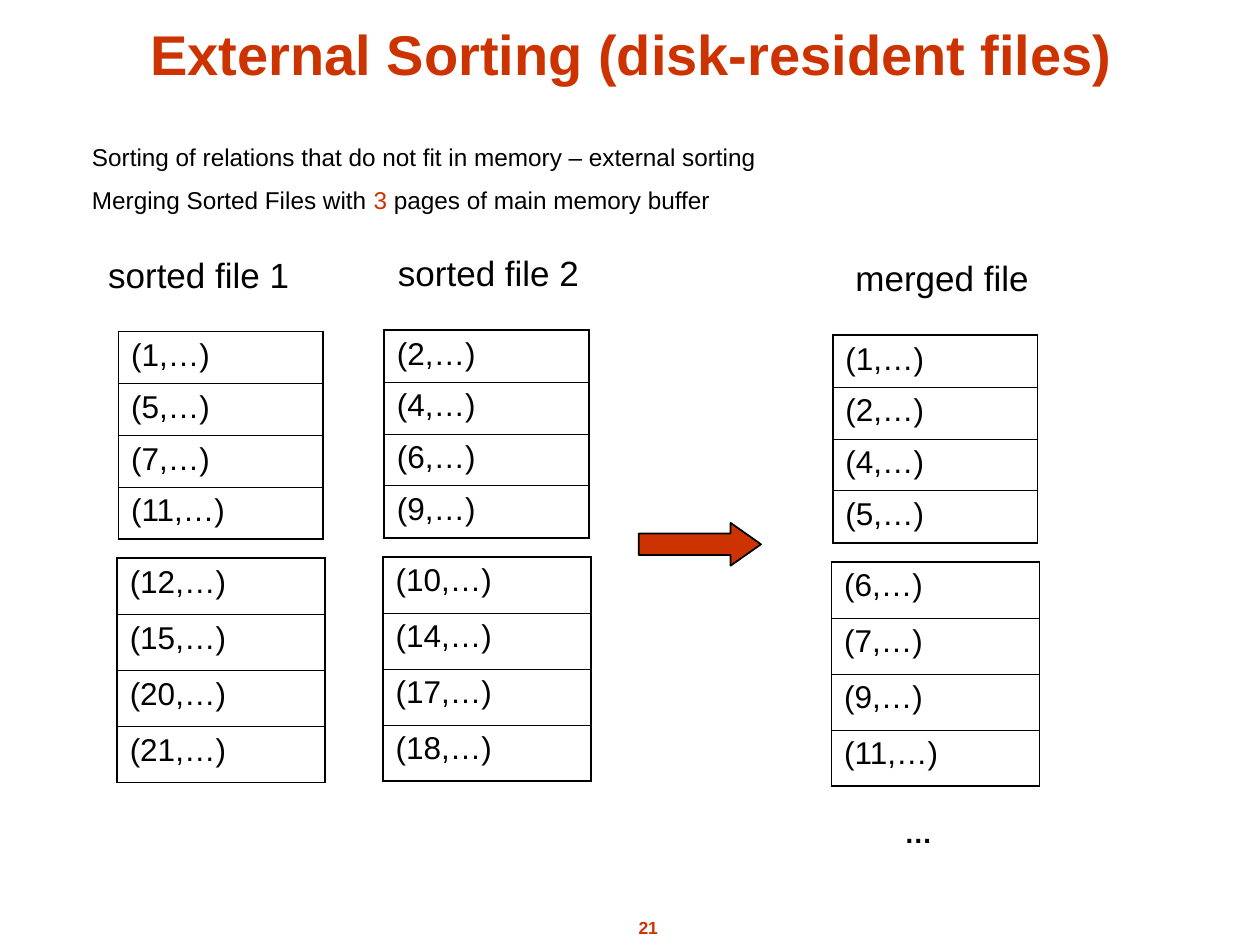
from dataclasses import dataclass

from lxml import etree
from pptx import Presentation
from pptx.dml.color import RGBColor
from pptx.enum.shapes import MSO_SHAPE
from pptx.enum.text import MSO_ANCHOR, MSO_AUTO_SIZE, PP_ALIGN
from pptx.oxml.ns import qn
from pptx.util import Inches, Pt

RIGHT_ARROW = MSO_SHAPE.RIGHT_ARROW
TOP, BOTTOM = MSO_ANCHOR.TOP, MSO_ANCHOR.BOTTOM
NO_AUTOFIT = MSO_AUTO_SIZE.NONE
LEFT, CENTER = PP_ALIGN.LEFT, PP_ALIGN.CENTER

SLIDE_WIDTH, SLIDE_HEIGHT = Inches(10), Inches(7.5)
GRID_UNIT = SLIDE_WIDTH / 100
FIRST_PAGE_WIDTH, FIRST_PAGE_ROW = 16.25, 4.12
SECOND_PAGE_WIDTH, SECOND_PAGE_ROW = 16.5, 4.45
LABEL_RISE, PAGE_STEP = 6.7, 18


@dataclass(frozen=True)
class Theme:
    font: str = "Arial"
    ink: str = "000000"
    accent: str = "CC3300"
    title: float = 32
    body: float = 13.9
    label: float = 20
    cell: float = 18
    ellipsis: float = 16
    page_number: float = 10
    body_gap: float = 7.9
    outer_border: float = 1.08
    inner_border: float = 0.45
    arrow_line: float = 1


THEME = Theme()

FILES = [
    ("sorted file 1", 7.6, 9.4, 26.3,
     ["(1,…)", "(5,…)", "(7,…)", "(11,…)"],
     ["(12,…)", "(15,…)", "(20,…)", "(21,…)"]),
    ("sorted file 2", 30.6, 30.5, 26.2,
     ["(2,…)", "(4,…)", "(6,…)", "(9,…)"],
     ["(10,…)", "(14,…)", "(17,…)", "(18,…)"]),
    ("merged file", 66.9, 66.1, 26.6,
     ["(1,…)", "(2,…)", "(4,…)", "(5,…)"],
     ["(6,…)", "(7,…)", "(9,…)", "(11,…)"]),
]


def grid(*units):
    return [round(unit * GRID_UNIT) for unit in units]


def color(value):
    return RGBColor.from_string(value)


def add_run(paragraph, text, size, ink=THEME.ink, bold=False):
    run = paragraph.add_run()
    run.text = text
    run.font.name = THEME.font
    run.font.size = Pt(size)
    run.font.bold = bold
    run.font.color.rgb = color(ink)


def fill_placeholder(shape, bounds, paragraphs, size, anchor, alignment, bold=False):
    shape.left, shape.top, shape.width, shape.height = grid(*bounds)
    frame = shape.text_frame
    frame.auto_size = NO_AUTOFIT
    frame.vertical_anchor = anchor
    for index, runs in enumerate(paragraphs):
        paragraph = frame.add_paragraph() if index else frame.paragraphs[0]
        properties = paragraph._p.get_or_add_pPr()
        properties.set("marL", "0")
        properties.set("indent", "0")
        etree.SubElement(properties, qn("a:buNone"))
        paragraph.alignment = alignment
        paragraph.space_before = Pt(THEME.body_gap if index else 0)
        for text, ink in runs:
            add_run(paragraph, text, size, ink, bold)


def add_text(slide, bounds, text, size, ink=THEME.ink, bold=False, alignment=LEFT, wrap=True):
    shape = slide.shapes.add_textbox(*grid(*bounds))
    shape.text_frame.word_wrap = wrap
    paragraph = shape.text_frame.paragraphs[0]
    paragraph.alignment = alignment
    add_run(paragraph, text, size, ink, bold)


def add_border(cell, side, width):
    properties = cell._tc.get_or_add_tcPr()
    line = etree.SubElement(properties, qn(f"a:ln{side}"), w=str(Pt(width)))
    fill = etree.SubElement(line, qn("a:solidFill"))
    etree.SubElement(fill, qn("a:srgbClr"), val=THEME.ink)


def add_page(slide, left, top, width, row_height, records):
    bounds = grid(left, top, width, row_height * len(records))
    table = slide.shapes.add_table(len(records), 1, *bounds).table
    table.first_row = False
    table.horz_banding = False
    last = len(records) - 1
    for index, record in enumerate(records):
        table.rows[index].height = grid(row_height)[0]
        cell = table.cell(index, 0)
        add_run(cell.text_frame.paragraphs[0], record, THEME.cell)
        outer, inner = THEME.outer_border, THEME.inner_border
        add_border(cell, "L", outer)
        add_border(cell, "R", outer)
        add_border(cell, "T", inner if index else outer)
        add_border(cell, "B", outer if index == last else inner)
        cell.fill.background()


def add_file(slide, label, label_left, left, top, first_page, second_page):
    add_text(slide, (label_left, top - LABEL_RISE, 18.1, 5.6), label, THEME.label)
    add_page(slide, left, top, FIRST_PAGE_WIDTH, FIRST_PAGE_ROW, first_page)
    add_page(slide, left - 0.1, top + PAGE_STEP, SECOND_PAGE_WIDTH, SECOND_PAGE_ROW, second_page)


def add_merge_arrow(slide):
    arrow = slide.shapes.add_shape(RIGHT_ARROW, *grid(50.7, 41.5, 9.7, 3.4))
    arrow.shadow.inherit = False
    arrow.adjustments[0] = 0.5
    arrow.adjustments[1] = 0.71
    arrow.fill.solid()
    arrow.fill.fore_color.rgb = color(THEME.accent)
    arrow.line.color.rgb = color(THEME.ink)
    arrow.line.width = Pt(THEME.arrow_line)


def main():
    presentation = Presentation()
    presentation.slide_width, presentation.slide_height = SLIDE_WIDTH, SLIDE_HEIGHT
    slide = presentation.slides.add_slide(presentation.slide_layouts[1])
    fill_placeholder(
        slide.shapes.title, (6, 0.7, 88.3, 6.7),
        [[("External Sorting (disk-resident files)", THEME.accent)]],
        THEME.title, BOTTOM, CENTER, bold=True)
    fill_placeholder(
        slide.placeholders[1], (6.3, 10.8, 81, 6.6),
        [[("Sorting of relations that do not fit in memory – external sorting", THEME.ink)],
         [("Merging Sorted Files with ", THEME.ink), ("3", THEME.accent),
          (" pages of main memory buffer", THEME.ink)]],
        THEME.body, TOP, LEFT)
    for file in FILES:
        add_file(slide, *file)
    add_text(slide, (70.8, 64.2, 4.2, 3.7), "…", THEME.ellipsis, bold=True, wrap=False)
    add_merge_arrow(slide)
    add_text(slide, (47.1, 72.3, 8.7, 2.7), "21", THEME.page_number, THEME.accent,
             bold=True, alignment=CENTER, wrap=False)
    presentation.save("out.pptx")


if __name__ == "__main__":
    main()
